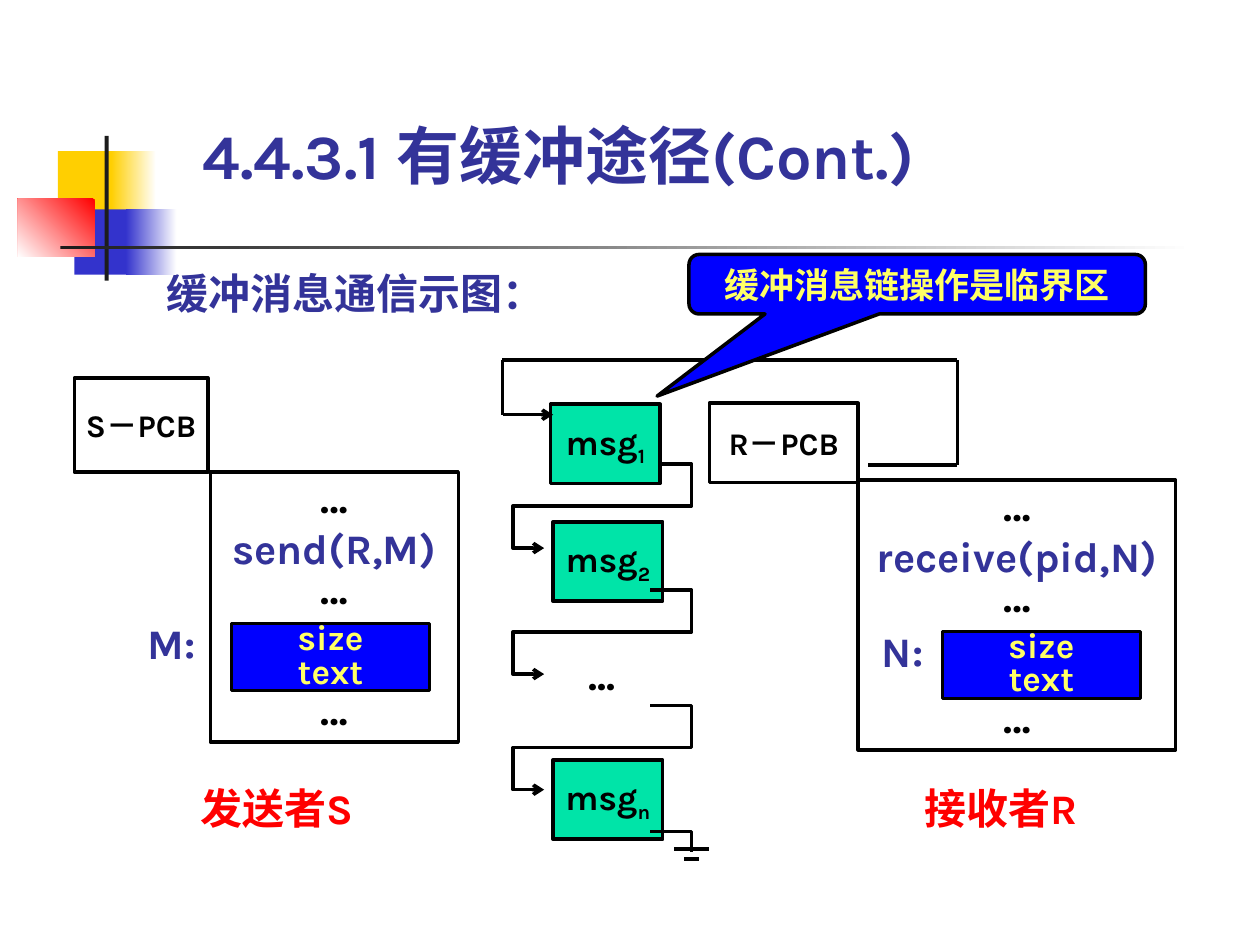
"""Builds the slide on buffered message communication between two processes."""
from dataclasses import dataclass
from itertools import pairwise

from lxml.etree import SubElement
from pptx import Presentation
from pptx.dml.color import RGBColor
from pptx.enum.shapes import MSO_CONNECTOR, MSO_SHAPE
from pptx.enum.text import MSO_ANCHOR, MSO_AUTO_SIZE, PP_ALIGN
from pptx.oxml.ns import qn
from pptx.util import Cm, Pt

LATIN = "Karla"
CHINESE = "Noto Sans CJK SC"
BLACK = RGBColor(0x00, 0x00, 0x00)
WHITE = RGBColor(0xFF, 0xFF, 0xFF)
CHARCOAL = RGBColor(0x1C, 0x1C, 0x1C)
GOLD = RGBColor(0xFF, 0xCF, 0x01)
INDIGO = RGBColor(0x33, 0x33, 0xCC)
NAVY = RGBColor(0x33, 0x33, 0x99)
RED = RGBColor(0xFF, 0x00, 0x00)
BLUE = RGBColor(0x00, 0x00, 0xFF)
YELLOW = RGBColor(0xFF, 0xFF, 0x66)
MINT = RGBColor(0x00, 0xE4, 0xA8)


@dataclass(frozen=True)
class Area:
    left: float
    top: float
    width: float
    height: float

    def lengths(self) -> tuple:
        return Cm(self.left), Cm(self.top), Cm(self.width), Cm(self.height)


@dataclass(frozen=True)
class Ornament:
    area: Area
    colour: RGBColor
    fade_angle: int | None = None


@dataclass(frozen=True)
class Line:
    text: str
    size: int = 24
    colour: RGBColor = BLACK
    spacing: float = 1.0
    before: int = 0
    subscript: str = ""
    font: str = LATIN


@dataclass(frozen=True)
class Process:
    pcb: str
    pcb_area: Area
    area: Area
    call: str
    variable: str
    variable_at: tuple
    buffer_at: tuple
    role: str
    role_at: tuple


ORNAMENTS = [
    Ornament(Area(1.17, 3.05, 1.22, 1.32), GOLD),
    Ornament(Area(2.24, 3.05, 0.91, 1.32), GOLD, 0),
    Ornament(Area(1.5, 4.22, 1.17, 1.32), INDIGO),
    Ornament(Area(2.54, 4.22, 1.02, 1.32), INDIGO, 0),
    Ornament(Area(0.36, 4.01, 1.55, 1.17), RED, 225),
    Ornament(Area(2.11, 2.74, 0.08, 2.92), CHARCOAL),
    Ornament(Area(1.22, 4.95, 22.86, 0.08), CHARCOAL, 0),
]
PROCESSES = [
    Process("S－PCB", Area(1.5, 7.62, 2.69, 1.9), Area(4.24, 9.52, 5, 5.44), "send(R,M)",
            "M:", (2.97, 12.65), (4.67, 12.57), "发送者S", (4.04, 15.77)),
    Process("R－PCB", Area(14.3, 8.13, 3, 1.6), Area(17.3, 9.68, 6.4, 5.44), "receive(pid,N)",
            "N:", (17.78, 12.8), (19, 12.73), "接收者R", (18.64, 15.77)),
]
LINK_TOPS = [9.35, 11.89, 14.22]
LINK_STEP = 0.85
LINK_START, LINK_RIGHT, LINK_LEFT, LINK_END = 13.11, 13.94, 10.34, 10.97


def write(shape, lines: list[Line], align=PP_ALIGN.CENTER, anchor=MSO_ANCHOR.MIDDLE,
          wrap: bool = False, margins: tuple = (0.25, 0.13)) -> None:
    frame = shape.text_frame
    frame.auto_size = MSO_AUTO_SIZE.NONE
    frame.word_wrap = wrap
    frame.vertical_anchor = anchor
    frame.margin_left = frame.margin_right = Cm(margins[0])
    frame.margin_top = frame.margin_bottom = Cm(margins[1])
    for number, line in enumerate(lines):
        para = frame.add_paragraph() if number else frame.paragraphs[0]
        para.alignment = align
        para.line_spacing = line.spacing
        para.space_before = Pt(line.before)
        para.font.name, para.font.size = line.font, Pt(line.size)
        para.font.bold, para.font.color.rgb = True, line.colour
        para.add_run().text = line.text
        if line.subscript:
            span = para.add_run()
            span.text = line.subscript
            span.font._element.set("baseline", "-25000")


def add_box(page, area: Area, fill: RGBColor, kind=MSO_SHAPE.RECTANGLE):
    box = page.shapes.add_shape(kind, *area.lengths())
    box.shadow.inherit = False
    box.fill.solid()
    box.fill.fore_color.rgb = fill
    box.line.color.rgb, box.line.width = BLACK, Pt(2)
    return box


def add_ornament(page, ornament: Ornament) -> None:
    box = add_box(page, ornament.area, ornament.colour)
    box.line.fill.background()
    if ornament.fade_angle is not None:
        box.fill.gradient()
        box.fill.gradient_angle = ornament.fade_angle
        for stop, colour in zip(box.fill.gradient_stops, (ornament.colour, WHITE)):
            stop.color.rgb = colour


def add_label(page, area: Area, line: Line) -> None:
    label = page.shapes.add_textbox(*area.lengths())
    write(label, [line], PP_ALIGN.LEFT, MSO_ANCHOR.TOP, True, (0, 0))


def add_arrowhead(shape) -> None:
    SubElement(shape.line._get_or_add_ln(), qn("a:tailEnd"), type="arrow")


def add_straight_lines(page, points: list[tuple], arrow: bool = False) -> None:
    for start, end in pairwise(points):
        line = page.shapes.add_connector(
            MSO_CONNECTOR.STRAIGHT, *(Cm(value) for value in (*start, *end)))
        line.line.color.rgb, line.line.width = BLACK, Pt(2)
        SubElement(line._element.spPr, qn("a:effectLst"))
    if arrow:
        add_arrowhead(line)


def add_elbow(page, points: list[tuple], arrow: bool = False) -> None:
    corners = [(Cm(across), Cm(down)) for across, down in points]
    builder = page.shapes.build_freeform(*corners[0])
    builder.add_line_segments(corners[1:], close=False)
    elbow = builder.convert_to_shape()
    elbow.shadow.inherit = False
    elbow.fill.background()
    elbow.line.color.rgb, elbow.line.width = BLACK, Pt(2)
    if arrow:
        add_arrowhead(elbow)


def add_message(page, left: float, top: float, subscript: str) -> None:
    box = add_box(page, Area(left, top, 2.21, 1.6), MINT)
    write(box, [Line("msg", 20, subscript=subscript)])


def add_process(page, process: Process) -> None:
    write(add_box(page, process.pcb_area, WHITE), [Line(process.pcb, 18)])
    write(add_box(page, process.area, WHITE), [
        Line("…", spacing=0.8), Line(process.call, colour=NAVY, spacing=0.8, before=6),
        Line("…", spacing=0.8), Line("…", spacing=0.8, before=46)])
    add_label(page, Area(*process.variable_at, 1.32, 0.81),
              Line(process.variable, colour=NAVY, spacing=0.8))
    buffer = add_box(page, Area(*process.buffer_at, 3.99, 1.35), BLUE)
    write(buffer, [Line(word, 20, YELLOW, 0.8) for word in ("size", "text")],
          anchor=MSO_ANCHOR.TOP, wrap=True, margins=(0, 0))
    add_label(page, Area(*process.role_at, 4.88, 1.02), Line(process.role, colour=RED))


def add_message_chain(page) -> None:
    add_message(page, 11.15, 10.52, "2")
    add_message(page, 11.15, 15.32, "n")
    for top in LINK_TOPS:
        middle, bottom = top + LINK_STEP, top + 2 * LINK_STEP
        add_elbow(page, [(LINK_START, top), (LINK_RIGHT, top), (LINK_RIGHT, middle),
                         (LINK_LEFT, middle), (LINK_LEFT, bottom), (LINK_END, bottom)], True)
    add_label(page, Area(11.86, 13.08, 0.97, 1.02), Line("..."))
    add_elbow(page, [(LINK_START, 16.76), (LINK_RIGHT, 16.76), (LINK_RIGHT, 17.17)])
    add_straight_lines(page, [(13.59, 17.12), (14.3, 17.12)])
    add_straight_lines(page, [(13.79, 17.32), (14.1, 17.32)])
    add_straight_lines(page, [(17.5, 9.37), (19.3, 9.37), (19.3, 7.26), (10.11, 7.26)])
    add_message(page, 11.1, 8.15, "1")
    add_straight_lines(page, [(10.13, 7.26), (10.13, 8.36), (11.15, 8.36)], True)


def main() -> None:
    deck = Presentation()
    deck.slide_width, deck.slide_height = Cm(25.4), Cm(19.05)
    page = deck.slides.add_slide(deck.slide_layouts[1])
    for ornament in ORNAMENTS:
        add_ornament(page, ornament)
    title, body = page.placeholders
    title.left, title.top, title.width, title.height = Area(4.09, 2.36, 16, 1.52).lengths()
    write(title, [Line("4.4.3.1 有缓冲途径(Cont.)", 36, NAVY)], PP_ALIGN.LEFT,
          MSO_ANCHOR.BOTTOM, True, (0, 0))
    body.left, body.top, body.width, body.height = Area(3.1, 5.26, 8.2, 1.27).lengths()
    properties = body.text_frame.paragraphs[0]._p.get_or_add_pPr()
    properties.set("marL", "0")
    properties.set("indent", "0")
    SubElement(properties, qn("a:buNone"))
    write(body, [Line("缓冲消息通信示图：", colour=NAVY, font=CHINESE)], PP_ALIGN.LEFT,
          MSO_ANCHOR.TOP, True)
    for process in PROCESSES:
        add_process(page, process)
    add_message_chain(page)
    callout = add_box(page, Area(13.89, 5.13, 9.2, 1.2), BLUE,
                      MSO_SHAPE.ROUNDED_RECTANGULAR_CALLOUT)
    for number, value in enumerate((-0.57, 1.88, 0.17)):
        callout.adjustments[number] = value
    write(callout, [Line("缓冲消息链操作是临界区", 20, YELLOW)], anchor=MSO_ANCHOR.TOP, wrap=True)
    deck.save("out.pptx")


if __name__ == "__main__":
    main()
